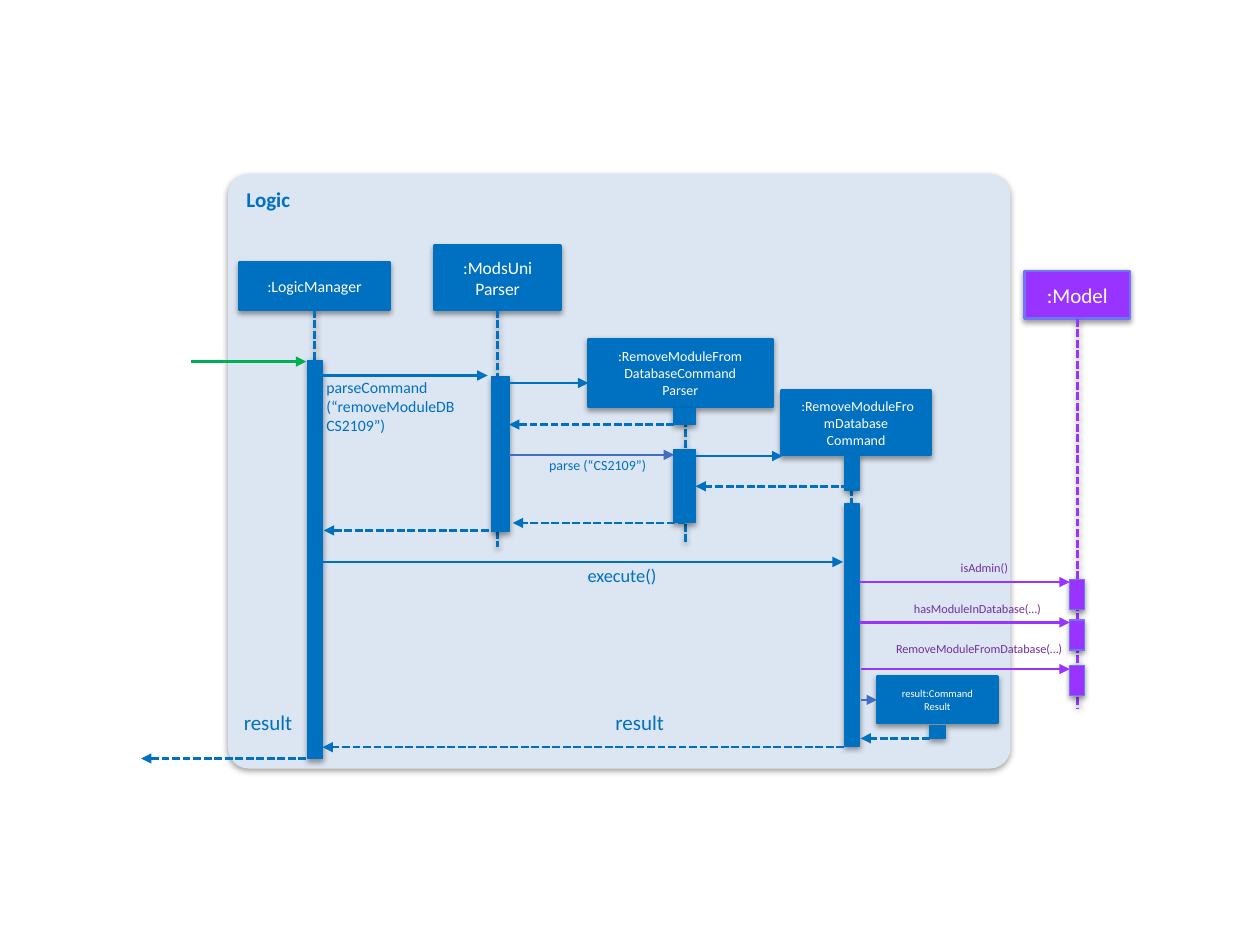
import pptx
import pptx.util
import pptx.dml.color
import pptx.enum.dml
import pptx.enum.shapes
import pptx.enum.text
import pptx.oxml
import pptx.oxml.ns
from lxml import etree

Inches, Pt = pptx.util.Inches, pptx.util.Pt
RGBColor = pptx.dml.color.RGBColor
PP_ALIGN = pptx.enum.text.PP_ALIGN
ANCHOR = pptx.enum.text.MSO_ANCHOR
SHAPE = pptx.enum.shapes.MSO_SHAPE
DASH = pptx.enum.dml.MSO_LINE.SQUARE_DOT
qn = pptx.oxml.ns.qn

FONT = "Calibri"
BLUE = RGBColor(0x00, 0x70, 0xC0)
MID_BLUE = RGBColor(0x3F, 0x6E, 0xC2)
PANEL_BLUE = RGBColor(0xDC, 0xE6, 0xF2)
VIOLET = RGBColor(0x99, 0x33, 0xFF)
VIOLET_EDGE = RGBColor(0x6F, 0x75, 0xF7)
PURPLE = RGBColor(0x70, 0x30, 0xA0)
GREEN = RGBColor(0x00, 0xB0, 0x50)
WHITE = RGBColor(0xFF, 0xFF, 0xFF)

# Participants: name, text, size, box, fill, edge
PARTICIPANTS = [
    ("logic", ":LogicManager", 9, (1.9, 2.08, 1.19, 0.38), BLUE, BLUE),
    ("mods", ":ModsUni\vParser", 10, (3.45, 1.95, 1, 0.51), BLUE, BLUE),
    ("command", " :RemoveModuleFromDatabase\nCommand", 8,
     (6.2, 3.1, 1.19, 0.51), BLUE, BLUE),
    ("model", ":Model", 12, (8.13, 2.15, 0.84, 0.38), VIOLET, VIOLET_EDGE),
    ("result", "result:Command Result", 6, (6.96, 5.37, 0.96, 0.37), BLUE, BLUE),
    ("parser", ":RemoveModuleFrom\nDatabaseCommand\nParser", 8,
     (4.67, 2.69, 1.46, 0.54), BLUE, BLUE),
]

# Lifelines: participant, x (None = middle of the participant), top, bottom, colour
LIFELINES = [
    ("logic", None, 2.46, 5.32, BLUE),
    ("mods", None, 2.46, 4.34, BLUE),
    ("parser", 5.44, 3.24, 4.32, BLUE),
    ("command", 6.76, 3.62, 5.73, BLUE),
    ("model", None, 2.53, 5.62, VIOLET),
]

# Activation bars: left, width, fill, edge, (top, height) pairs
ACTIVATIONS = [
    (2.44, 0.12, BLUE, BLUE, [(2.86, 3.16)]),
    (3.9, 0.14, BLUE, BLUE, [(2.99, 1.23)]),
    (5.35, 0.17, BLUE, BLUE, [(3.24, 0.13), (3.57, 0.58)]),
    (6.7, 0.12, BLUE, BLUE, [(3.62, 0.27), (4, 1.92)]),
    (7.38, 0.12, BLUE, BLUE, [(5.76, 0.1)]),
    (8.49, 0.12, VIOLET, VIOLET_EDGE, [(4.6, 0.24), (4.92, 0.24), (5.28, 0.24)]),
]

# Calls: from x, to x, y, colour
CALLS = [
    (1.52, 2.43, 2.87, GREEN),
    (2.56, 3.87, 2.98, BLUE),
    (4, 4.67, 3.04, BLUE),
    (4.04, 5.35, 3.61, MID_BLUE),
    (5.48, 6.21, 3.62, BLUE),
    (2.56, 6.69, 4.46, BLUE),
    (6.82, 8.49, 4.62, VIOLET),
    (6.82, 8.49, 4.94, VIOLET),
    (6.83, 8.49, 5.31, VIOLET),
]

# Dashed returns: from x, to x, y
RETURNS = [
    (5.35, 4.04, 3.37),
    (6.74, 5.52, 3.86),
    (5.44, 4.07, 4.15),
    (3.88, 2.57, 4.21),
    (7.38, 6.83, 5.86),
    (6.7, 2.56, 5.93),
    (2.43, 1.12, 6.02),
]

# Message labels: text, size, colour, alignment, box
LABELS = [
    ("parseCommand\n(“removeModuleDB\vCS2109”)", 9, BLUE, PP_ALIGN.LEFT,
     (2.59, 3, 1.24, 0.8)),
    ("parse (“CS2109”)", 8, BLUE, PP_ALIGN.RIGHT, (3.76, 3.62, 1.37, 0.15)),
    ("execute()", 10.5, BLUE, PP_ALIGN.RIGHT, (4.51, 4.48, 0.7, 0.23)),
    ("isAdmin()", 7, PURPLE, PP_ALIGN.RIGHT, (6.59, 4.45, 1.41, 0.17)),
    ("hasModuleInDatabase(…)", 7, PURPLE, PP_ALIGN.RIGHT, (6.85, 4.77, 1.41, 0.17)),
    ("RemoveModuleFromDatabase(…)", 7, PURPLE, PP_ALIGN.RIGHT,
     (6.76, 5.09, 1.67, 0.15)),
    ("result", 12, BLUE, PP_ALIGN.RIGHT, (4.76, 5.63, 0.51, 0.23)),
    ("result", 12, BLUE, PP_ALIGN.RIGHT, (1.7, 5.63, 0.62, 0.23)),
]

presentation = pptx.Presentation()
presentation.slide_width, presentation.slide_height = Inches(10), Inches(7.5)
slide = presentation.slides.add_slide(presentation.slide_layouts[6])


def add_shadow(effects):
    shadow = etree.SubElement(effects, qn("a:outerShdw"), blurRad="40000",
                              dist="20000", dir="5400000", rotWithShape="0")
    colour = etree.SubElement(shadow, qn("a:srgbClr"), val="000000")
    etree.SubElement(colour, qn("a:alpha"), val="38000")


def write(shape, text, size, colour, align, bold=False):
    frame = shape.text_frame
    frame.word_wrap = True
    frame.text = text
    for paragraph in frame.paragraphs:
        paragraph.alignment = align
        for run in paragraph.runs:
            run.font.name, run.font.size, run.font.bold = FONT, Pt(size), bold
            run.font.color.rgb = colour


def add_box(box, fill, edge=None, width=0.75, kind=SHAPE.RECTANGLE):
    shape = slide.shapes.add_shape(kind, *map(Inches, box))
    shape.fill.solid()
    shape.fill.fore_color.rgb = fill
    if edge is None:
        shape.line.fill.background()
    else:
        shape.line.color.rgb, shape.line.width = edge, Pt(width)
    shape.shadow.inherit = False
    add_shadow(shape._element.spPr.find(qn("a:effectLst")))
    return shape


def add_line(x1, y1, x2, y2, colour, dashed=False, arrow=False, shadow=False):
    line = slide.shapes.add_connector(pptx.enum.shapes.MSO_CONNECTOR.STRAIGHT,
                                      *map(Inches, (x1, y1, x2, y2)))
    line.line.color.rgb, line.line.width = colour, Pt(1.5)
    if dashed:
        line.line.dash_style = DASH
    properties = line._element.spPr
    if arrow:
        etree.SubElement(properties.find(qn("a:ln")), qn("a:tailEnd"), type="triangle")
    effects = etree.SubElement(properties, qn("a:effectLst"))
    if shadow:
        add_shadow(effects)
    return line


# Logic panel
panel = add_box((1.81, 1.38, 6.21, 4.72), PANEL_BLUE, kind=SHAPE.ROUNDED_RECTANGLE)
panel.adjustments[0] = 0.035
panel.text_frame.vertical_anchor = ANCHOR.TOP
write(panel, "Logic", 12, BLUE, PP_ALIGN.LEFT, bold=True)

# Participants
heads = {}
for name, text, size, box, fill, edge in PARTICIPANTS:
    heads[name] = add_box(box, fill, edge, 1.5)
    heads[name].text_frame.vertical_anchor = ANCHOR.MIDDLE
    write(heads[name], text, size, WHITE, PP_ALIGN.CENTER)

# Lifelines
for name, x, top, bottom, colour in LIFELINES:
    head = heads[name]
    joined = x is None
    if joined:
        x = (head.left + head.width / 2) / Inches(1)
    lifeline = add_line(x, top, x, bottom, colour, dashed=True, shadow=True)
    if joined:
        lifeline.begin_connect(head, 2)

# Activation bars
for left, width, fill, edge, spans in ACTIVATIONS:
    for top, height in spans:
        add_box((left, top, width, height), fill, edge)

# Calls and returns
for x1, x2, y, colour in CALLS:
    add_line(x1, y, x2, y, colour, arrow=True)
for x1, x2, y in RETURNS:
    add_line(x1, y, x2, y, BLUE, dashed=True, arrow=True)
result_y = (heads["result"].top + heads["result"].height / 2) / Inches(1)
create_result = add_line(6.83, result_y, 6.96, result_y, MID_BLUE, arrow=True)
create_result.end_connect(heads["result"], 1)

# Message labels
for text, size, colour, align, box in LABELS:
    label = slide.shapes.add_textbox(*map(Inches, box))
    frame = label.text_frame
    frame.margin_left = frame.margin_right = frame.margin_top = frame.margin_bottom = 0
    write(label, text, size, colour, align)

presentation.save("out.pptx")
